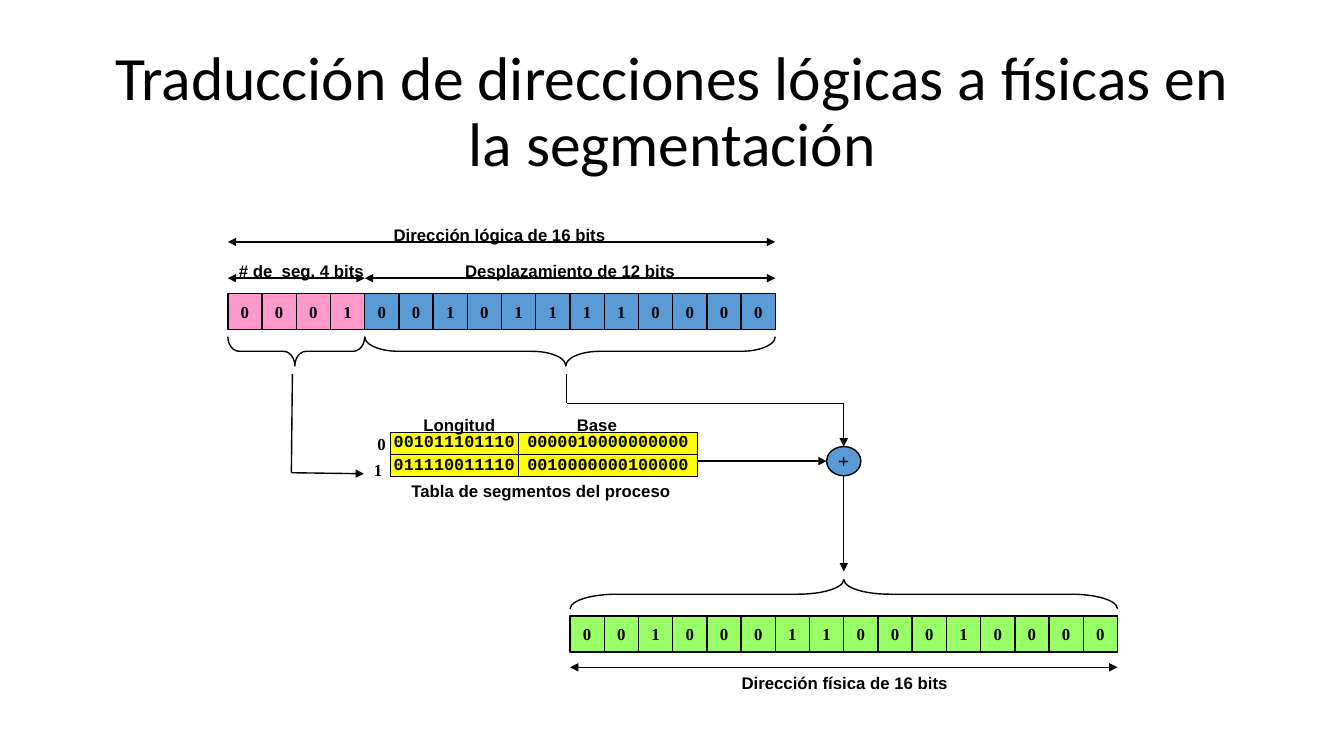
from collections import namedtuple
from dataclasses import dataclass

from lxml import etree
from pptx import Presentation
from pptx.dml.color import RGBColor
from pptx.enum.shapes import MSO_CONNECTOR, MSO_SHAPE
from pptx.enum.text import MSO_ANCHOR, PP_ALIGN
from pptx.oxml.ns import qn
from pptx.util import Inches, Pt

STRAIGHT = MSO_CONNECTOR.STRAIGHT
RECT, OVAL, BRACE = MSO_SHAPE.RECTANGLE, MSO_SHAPE.OVAL, MSO_SHAPE.LEFT_BRACE
CENTER, MIDDLE, TOP = PP_ALIGN.CENTER, MSO_ANCHOR.MIDDLE, MSO_ANCHOR.TOP

Box = namedtuple("Box", "left top width height")


@dataclass(frozen=True)
class Theme:
    """Colours, fonts and sizes of the slide."""
    ink: str = "000000"
    segment: str = "FF99CC"
    offset: str = "5B9BD5"
    physical: str = "99FF66"
    entry: str = "FFFF00"
    title_font: str = "Calibri"
    label_font: str = "Arial"
    bit_font: str = "Times New Roman"
    code_font: str = "Courier New"
    title_size: int = 44
    body_size: int = 12
    sum_size: int = 14
    line: int = 1


THEME = Theme()
WIDTH, HEIGHT = 13.33, 7.5
BITS, SEGMENT_BITS = 16, 4
WORD = 5.43
COL = WORD / BITS
ROW = 0.36
BRACE_HEIGHT = 0.29
LABEL_HEIGHT = 0.3

LOGICAL = Box(2.26, 2.18, WORD, 1.45)
PHYSICAL = Box(LOGICAL.left + 10 * COL, 5.75, WORD, 1.17)
SEGMENTS = Box(3.61, 4.07, 3.31, 0.95)
ADDER = Box(PHYSICAL.left + 7.5 * COL + COL / 2 - COL / 2, 4.43, COL, BRACE_HEIGHT)


def emu(box):
    """Return the box's four lengths in slide units."""
    return [Inches(length) for length in box]


def write(frame, text, font, size=THEME.body_size, bold=True, anchor=MIDDLE, wrap=False):
    """Write one centred paragraph into a text frame."""
    frame.text = text
    frame.word_wrap = wrap
    frame.vertical_anchor = anchor
    paragraph = frame.paragraphs[0]
    paragraph.alignment = CENTER
    run_font = paragraph.runs[0].font
    run_font.name, run_font.size, run_font.bold = font, Pt(size), bold
    run_font.color.rgb = RGBColor.from_string(THEME.ink)
    return paragraph


def label(slide, box, text, font=THEME.label_font):
    """Place a bold caption in the box."""
    caption = slide.shapes.add_textbox(*emu(box))
    write(caption.text_frame, text, font, anchor=TOP)


def outlined(slide, preset, box, fill=None):
    """Place a preset shape with a thin dark outline."""
    shape = slide.shapes.add_shape(preset, *emu(box))
    shape.shadow.inherit = False
    shape.line.color.rgb = RGBColor.from_string(THEME.ink)
    shape.line.width = Pt(THEME.line)
    if fill:
        shape.fill.solid()
        shape.fill.fore_color.rgb = RGBColor.from_string(fill)
    else:
        shape.fill.background()
    return shape


def brace(slide, box, rotation, curl, tip):
    """Lay a brace on its side so that it covers the box."""
    middle_x, middle_y = box.left + box.width / 2, box.top + box.height / 2
    upright = Box(middle_x - box.height / 2, middle_y - box.width / 2, box.height, box.width)
    shape = outlined(slide, BRACE, upright)
    shape.rotation = rotation
    shape.adjustments[0], shape.adjustments[1] = curl, tip


def path_line(slide, points, start=False, end=True):
    """Join the points with straight lines, with arrowheads at the ends asked for."""
    last = len(points) - 2
    for index, (begin, finish) in enumerate(zip(points, points[1:])):
        link = slide.shapes.add_connector(STRAIGHT, *emu(begin + finish))
        link.line.color.rgb = RGBColor.from_string(THEME.ink)
        link.line.width = Pt(THEME.line)
        outline = link.line._get_or_add_ln()
        heads = (("a:headEnd", start and index == 0), ("a:tailEnd", end and index == last))
        for tag, shown in heads:
            if shown:
                etree.SubElement(outline, qn(tag), type="triangle", w="med", len="med")
        etree.SubElement(link._element.spPr, qn("a:effectLst"))


def span(slide, left, y, columns):
    """Draw a double arrow over a number of bit columns."""
    path_line(slide, [(left, y), (left + columns * COL, y)], start=True)


def bit_row(slide, left, top, bits, fill):
    """Draw one square per bit."""
    for index, bit in enumerate(bits):
        cell = outlined(slide, RECT, Box(left + index * COL, top, COL, ROW), fill)
        write(cell.text_frame, bit, THEME.bit_font)


def title(slide, box):
    """Place the slide's title."""
    heading = slide.shapes.add_textbox(*emu(box))
    text = "Traducción de direcciones lógicas a físicas en la segmentación"
    paragraph = write(heading.text_frame, text, THEME.title_font, THEME.title_size, False, wrap=True)
    paragraph.line_spacing = 0.9


def logical_address(slide, box):
    """Draw the logical address with its two fields."""
    split = box.left + SEGMENT_BITS * COL
    offset_bits = BITS - SEGMENT_BITS
    bits_top = box.top + 0.73
    brace_top = box.top + box.height - BRACE_HEIGHT
    bit_row(slide, box.left, bits_top, "0001", THEME.segment)
    bit_row(slide, split, bits_top, "001011110000", THEME.offset)
    brace(slide, Box(split, brace_top, offset_bits * COL, BRACE_HEIGHT), 270, 1.16, 0.49)
    brace(slide, Box(box.left, brace_top, SEGMENT_BITS * COL, BRACE_HEIGHT), 270, 0.39, 0.49)
    span(slide, box.left, box.top + 0.22, BITS)
    span(slide, box.left, box.top + 0.22 + ROW, SEGMENT_BITS)
    span(slide, split, box.top + 0.22 + ROW, offset_bits)
    label(slide, Box(box.left + 1.53, box.top, 2.33, LABEL_HEIGHT), "Dirección lógica de 16 bits")
    label(slide, Box(box.left, box.top + ROW, 1.46, LABEL_HEIGHT), "# de  seg. 4 bits")
    label(slide, Box(box.left + 2.12, box.top + ROW, 2.55, LABEL_HEIGHT), "Desplazamiento de 12 bits")


def border(cell):
    """Give all four sides of a table cell a thin dark line."""
    properties = cell._tc.get_or_add_tcPr()
    for side in ("a:lnL", "a:lnR", "a:lnT", "a:lnB"):
        edge = etree.SubElement(properties, qn(side), w=str(Pt(THEME.line)))
        paint = etree.SubElement(edge, qn("a:solidFill"))
        etree.SubElement(paint, qn("a:srgbClr"), val=THEME.ink)


def segment_table(slide, box):
    """Draw the segment table with its headings, row numbers and caption."""
    entries = [("001011101110", "0000010000000000"), ("011110011110", "0010000000100000")]
    widths, row_height = (1.27, 1.78), 0.22
    grid = Box(box.left + 0.26, box.top + row_height, sum(widths), 2 * row_height)
    table = slide.shapes.add_table(2, 2, *emu(grid)).table
    table.first_row = table.horz_banding = False
    for column, width in zip(table.columns, widths):
        column.width = Inches(width)
    for row, values in enumerate(entries):
        for column, value in enumerate(values):
            cell = table.cell(row, column)
            cell.margin_left = cell.margin_right = cell.margin_top = cell.margin_bottom = 0
            border(cell)
            cell.fill.solid()
            cell.fill.fore_color.rgb = RGBColor.from_string(THEME.entry)
            write(cell.text_frame, value, THEME.code_font)
            cell.vertical_anchor = MIDDLE
    label(slide, Box(box.left + 0.03, box.top + 0.18, 0.29, LABEL_HEIGHT), "0", THEME.bit_font)
    label(slide, Box(box.left, box.top + 0.44, 0.28, LABEL_HEIGHT), "1", THEME.bit_font)
    label(slide, Box(box.left + 0.48, box.top, 0.93, LABEL_HEIGHT), "Longitud")
    label(slide, Box(box.left + 2.01, box.top, 0.6, LABEL_HEIGHT), "Base")
    label(slide, Box(box.left + 0.36, box.top + 0.65, 2.79, LABEL_HEIGHT), "Tabla de segmentos del proceso")


def adder(slide, box):
    """Draw the adder and the paths that lead through it."""
    middle_x, middle_y = box.left + box.width / 2, box.top + box.height / 2
    exit_y = LOGICAL.top + LOGICAL.height + 0.08
    circle = outlined(slide, OVAL, box, THEME.offset)
    write(circle.text_frame, "+", THEME.bit_font, THEME.sum_size)
    path_line(slide, [(5.62, exit_y), (5.62, 4), (middle_x, 4), (middle_x, box.top)])
    path_line(slide, [(2.9, exit_y), (2.89, 4.69), (SEGMENTS.left, 4.7)])
    path_line(slide, [(SEGMENTS.left + SEGMENTS.width, middle_y), (box.left, middle_y)])
    path_line(slide, [(middle_x, box.top + box.height), (middle_x, PHYSICAL.top - 0.08)])


def physical_address(slide, box):
    """Draw the resulting physical address."""
    arrow_y = box.top + 0.87
    bit_row(slide, box.left, box.top + ROW, "0010001100010000", THEME.physical)
    brace(slide, Box(box.left, box.top, box.width, BRACE_HEIGHT), 90, 1.57, 0.5)
    span(slide, box.left, arrow_y, BITS)
    label(slide, Box(box.left + 1.59, arrow_y, 2.27, LABEL_HEIGHT), "Dirección física de 16 bits")


def main():
    """Build the slide and save it."""
    deck = Presentation()
    deck.slide_width, deck.slide_height = Inches(WIDTH), Inches(HEIGHT)
    slide = deck.slides.add_slide(deck.slide_layouts[6])
    title(slide, Box(0.92, 0.4, 11.5, 1.45))
    logical_address(slide, LOGICAL)
    segment_table(slide, SEGMENTS)
    adder(slide, ADDER)
    physical_address(slide, PHYSICAL)
    deck.save("out.pptx")


if __name__ == "__main__":
    main()
